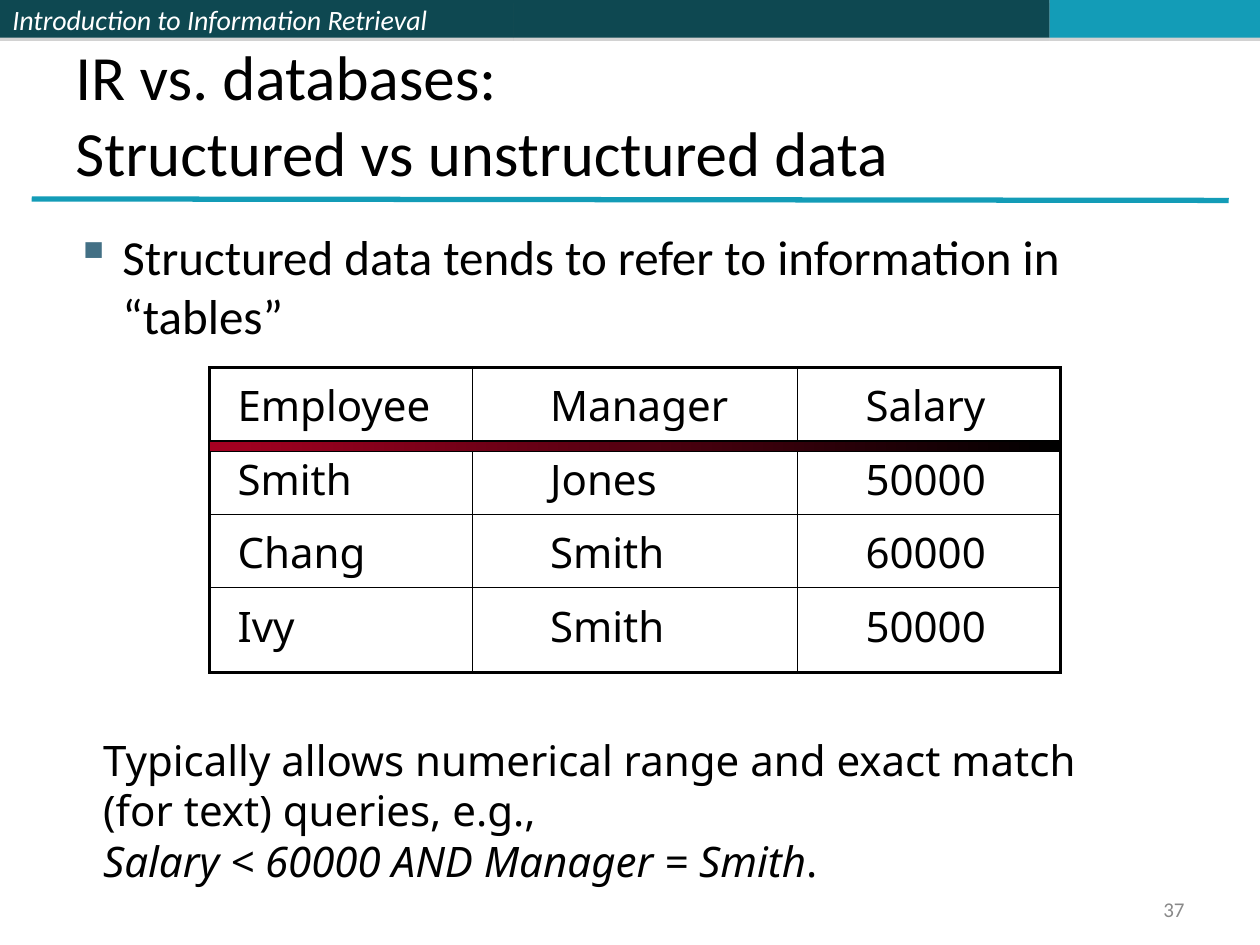
import dataclasses

import lxml.etree
import pptx
import pptx.dml.color
import pptx.enum.dml
import pptx.enum.shapes
import pptx.enum.text
import pptx.oxml
import pptx.oxml.ns
import pptx.util

Cm = pptx.util.Cm
Pt = pptx.util.Pt
qn = pptx.oxml.ns.qn
Anchor = pptx.enum.text.MSO_ANCHOR
Align = pptx.enum.text.PP_ALIGN


@dataclasses.dataclass(frozen=True)
class Theme:
    ink: str = "000000"
    paper: str = "FFFFFF"
    band: str = "0E4851"
    accent: str = "139CB7"
    bullet: str = "437085"
    muted: str = "898989"
    shadow: str = "808080"
    ruby: str = "A50021"
    heading_font: str = "Calibri"
    data_font: str = "Noto Sans"
    title_size: float = 36
    body_size: float = 28
    data_size: float = 24
    header_size: float = 16
    number_size: float = 12
    data_leading: float = 28.8


def rgb(colour):
    return pptx.dml.color.RGBColor.from_string(colour)


class SlideBuilder:
    def __init__(self, deck, theme):
        self.theme = theme
        self.slide = deck.slides.add_slide(deck.slide_layouts[6])

    def style(self, paragraph, size, colour, font, italic=None, leading=None):
        paragraph.font.size = Pt(size)
        paragraph.font.name = font
        paragraph.font.italic = italic
        paragraph.font.color.rgb = rgb(colour)
        if leading:
            paragraph.line_spacing = Pt(leading)

    def rectangle(self, left, top, width, height):
        rectangle = self.slide.shapes.add_shape(
            pptx.enum.shapes.MSO_SHAPE.RECTANGLE, Cm(left), Cm(top), Cm(width), Cm(height))
        rectangle.shadow.inherit = False
        return rectangle

    def header_band(self, left, width, colour, label=None):
        band = self.rectangle(left, 0, width, 0.76)
        band.fill.solid()
        band.fill.fore_color.rgb = rgb(colour)
        band.line.fill.background()
        effects = band._element.spPr.find(qn("a:effectLst"))
        shadow = lxml.etree.SubElement(
            effects, qn("a:outerShdw"), dist=str(Pt(1.8)), dir="5400000", rotWithShape="0")
        tint = lxml.etree.SubElement(shadow, qn("a:srgbClr"), val=self.theme.shadow)
        lxml.etree.SubElement(tint, qn("a:alpha"), val="35000")
        if label:
            band.text_frame.vertical_anchor = Anchor.MIDDLE
            paragraph = band.text_frame.paragraphs[0]
            paragraph.text = label
            paragraph.alignment = Align.LEFT
            self.style(paragraph, self.theme.header_size, self.theme.paper,
                       self.theme.heading_font, italic=True)

    def gradient_bar(self, left, top, width, height, start, end):
        bar = self.rectangle(left, top, width, height)
        bar.fill.gradient()
        bar.fill.gradient_angle = 0
        for stop, colour in zip(bar.fill.gradient_stops, (start, end)):
            stop.color.rgb = rgb(colour)
        bar.line.color.rgb = rgb(self.theme.ink)
        bar.line.width = Pt(0.75)

    def rule(self, left, top, right, bottom):
        rule = self.slide.shapes.add_connector(
            pptx.enum.shapes.MSO_CONNECTOR.STRAIGHT, Cm(left), Cm(top), Cm(right), Cm(bottom))
        rule.line.color.rgb = rgb(self.theme.accent)
        rule.line.width = Pt(3)
        lxml.etree.SubElement(rule._element.spPr, qn("a:effectLst"))

    def text(self, left, top, width, height, lines, size, colour, font,
             anchor=Anchor.TOP, align=Align.LEFT, bullet=None, leading=None, wrap=True):
        frame = self.slide.shapes.add_textbox(
            Cm(left), Cm(top), Cm(width), Cm(height)).text_frame
        frame.word_wrap = wrap
        frame.vertical_anchor = anchor
        for index, line in enumerate(lines):
            paragraph = frame.add_paragraph() if index else frame.paragraphs[0]
            paragraph.alignment = align
            if bullet:
                self.bullet(paragraph, bullet)
            paragraph.text = line
            self.style(paragraph, size, colour, font, leading=leading)
        return frame

    def bullet(self, paragraph, mark):
        properties = paragraph._p.get_or_add_pPr()
        properties.set("marL", str(Cm(0.95)))
        properties.set("indent", str(Cm(-0.95)))
        tint = lxml.etree.SubElement(properties, qn("a:buClr"))
        lxml.etree.SubElement(tint, qn("a:srgbClr"), val=self.theme.bullet)
        lxml.etree.SubElement(properties, qn("a:buChar"), char=mark)

    def table(self, left, top, widths, heights, indents, records):
        grid = self.slide.shapes.add_table(
            len(heights), len(widths), Cm(left), Cm(top),
            Cm(sum(widths)), Cm(sum(heights))).table
        grid.horz_banding = False
        for column, width in zip(grid.columns, widths):
            column.width = Cm(width)
        last_row, last_column = len(heights) - 1, len(widths) - 1
        for r, (height, record) in enumerate(zip(heights, records)):
            grid.rows[r].height = Cm(height)
            for c, (indent, value) in enumerate(zip(indents, record)):
                cell = grid.cell(r, c)
                cell.fill.background()
                cell.margin_left, cell.margin_right = Cm(indent), Cm(0)
                cell.margin_top, cell.margin_bottom = Cm(0.33), Cm(0)
                cell.text = value
                self.style(cell.text_frame.paragraphs[0], self.theme.data_size,
                           self.theme.ink, self.theme.data_font,
                           leading=self.theme.data_leading)
                self.borders(cell, {"a:lnL": c == 0, "a:lnR": c == last_column,
                                    "a:lnT": r == 0, "a:lnB": r == last_row})

    def borders(self, cell, outer_sides):
        properties = cell._tc.get_or_add_tcPr()
        for position, (side, outer) in enumerate(outer_sides.items()):
            border = lxml.etree.Element(qn(side), w=str(Pt(2 if outer else 0.75)))
            fill = lxml.etree.SubElement(border, qn("a:solidFill"))
            lxml.etree.SubElement(fill, qn("a:srgbClr"), val=self.theme.ink)
            properties.insert(position, border)


def main():
    theme = Theme()
    deck = pptx.Presentation()
    deck.slide_width, deck.slide_height = Cm(25.4), Cm(19.05)
    page = SlideBuilder(deck, theme)

    page.header_band(0, 10.36, theme.band, "Introduction to Information Retrieval")
    page.header_band(10.36, 10.8, theme.band)
    page.header_band(21.16, 4.24, theme.accent)
    page.rule(0.64, 4.01, 24.77, 4.04)

    page.text(1.27, 0.76, 22.86, 3.18,
              ["IR vs. databases:\vStructured vs unstructured data"],
              theme.title_size, theme.ink, theme.heading_font, anchor=Anchor.BOTTOM)
    page.text(1.27, 4.45, 22.86, 13.77,
              ["Structured data tends to refer to information in “tables”"],
              theme.body_size, theme.ink, theme.heading_font, bullet="▪")
    page.text(18.2, 17.98, 5.93, 0.69, ["37"], theme.number_size, theme.muted,
              theme.heading_font, anchor=Anchor.MIDDLE, align=Align.RIGHT)

    table_left, table_top = 4.23, 7.41
    column_widths = [5.29, 6.56, 5.29]
    row_heights = [1.48, 1.48, 1.48, 1.71]
    page.table(table_left, table_top, column_widths, row_heights, [0.56, 1.57, 1.37], [
        ("Employee", "Manager", "Salary"),
        ("Smith", "Jones", "50000"),
        ("Chang", "Smith", "60000"),
        ("Ivy", "Smith", "50000"),
    ])
    page.gradient_bar(table_left, table_top + row_heights[0], sum(column_widths), 0.21,
                      theme.ruby, theme.ink)

    queries = page.text(1.83, 14.68, 20.17, 3.3,
                        ["Typically allows numerical range and exact match",
                         "(for text) queries, e.g.,",
                         "Salary < 60000 AND Manager = Smith"],
                        theme.data_size, theme.ink, theme.data_font,
                        anchor=Anchor.MIDDLE, leading=theme.data_leading, wrap=False)
    example = queries.paragraphs[-1]
    example.runs[0].font.italic = True
    example.add_run().text = "."

    deck.save("out.pptx")


if __name__ == "__main__":
    main()
